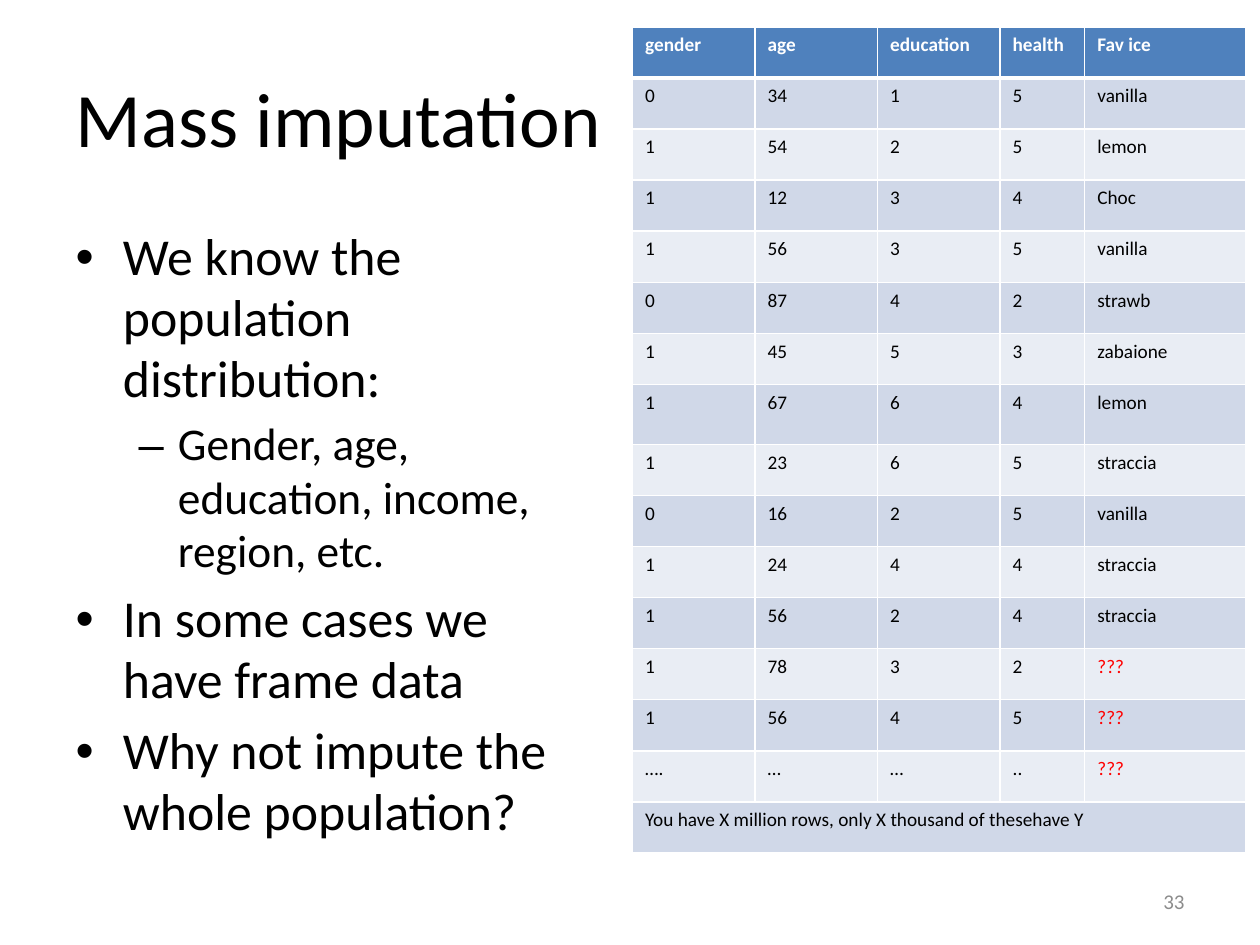
from pptx import Presentation
from pptx.dml.color import RGBColor
from pptx.enum import text as t
from pptx.oxml import ns
from pptx.util import Pt
from lxml import etree

# Content
TITLE = "Mass imputation"
POINTS = [
    (0, "We know the population distribution:"),
    (1, "Gender, age, education, income, region, etc."),
    (0, "In some cases we have frame data"),
    (0, "Why not impute the whole population?"),
]
HEAD = ["gender", "age", "education", "health", "Fav ice"]
ROWS = [
    ("0", "34", "1", "5", "vanilla"),
    ("1", "54", "2", "5", "lemon"),
    ("1", "12", "3", "4", "Choc"),
    ("1", "56", "3", "5", "vanilla"),
    ("0", "87", "4", "2", "strawb"),
    ("1", "45", "5", "3", "zabaione"),
    ("1", "67", "6", "4", "lemon"),
    ("1", "23", "6", "5", "straccia"),
    ("0", "16", "2", "5", "vanilla"),
    ("1", "24", "4", "4", "straccia"),
    ("1", "56", "2", "4", "straccia"),
    ("1", "78", "3", "2", "???"),
    ("1", "56", "4", "5", "???"),
    ("….", "…", "…", "..", "???"),
    ("You have X million rows, only X thousand of thesehave Y", "", "", "", ""),
]
PAGE = "33"

# Layout in points
WIDTHS = [70, 70, 70, 48.4, 92.2]
ROW, TALL = 29.2, 34.2
TALL_ROW = 7
SIZES = [(29.6, 6), (25.9, 5)]  # text size and space before, by level
BANDS = ["E9EDF4", "D0D8E8"]


def rgb(code):
    return RGBColor.from_string(code)


def write(para, words, size, color="000000", bold=False, align=t.PP_ALIGN.LEFT):
    para.alignment = align
    run = para.add_run()
    run.text = words
    font = run.font
    font.name, font.size, font.bold = "Calibri", Pt(size), bold
    font.color.rgb = rgb(color)


def place(shape, left, top, width, height):
    shape.left, shape.top = Pt(left), Pt(top)
    shape.width, shape.height = Pt(width), Pt(height)


def border(cell, low):
    props = cell._tc.get_or_add_tcPr()
    for side, wide in (("L", 1), ("R", 1), ("T", 1), ("B", low)):
        line = etree.SubElement(props, ns.qn("a:ln" + side), w=str(Pt(wide)))
        fill = etree.SubElement(line, ns.qn("a:solidFill"))
        etree.SubElement(fill, ns.qn("a:srgbClr"), val="FFFFFF")


deck = Presentation()
deck.slide_width, deck.slide_height = Pt(720), Pt(540)
slide = deck.slides.add_slide(deck.slide_layouts[1])

# Title
title = slide.shapes.title
place(title, 36, 21.6, 648, 90)
write(title.text_frame.paragraphs[0], TITLE, 44)

# Bullet list
body = slide.placeholders[1]
place(body, 36, 126, 290, 356.4)
frame = body.text_frame
for i, (level, words) in enumerate(POINTS):
    para = frame.add_paragraph() if i else frame.paragraphs[0]
    size, gap = SIZES[level]
    para.level = level
    para.space_before, para.line_spacing = Pt(gap), 0.98
    write(para, words, size)

# Data table
lines = [HEAD] + ROWS
grid = slide.shapes.add_table(
    len(lines), len(HEAD), Pt(361.5), Pt(15.3),
    Pt(sum(WIDTHS)), Pt(ROW * (len(lines) - 1) + TALL)).table
for col, width in zip(grid.columns, WIDTHS):
    col.width = Pt(width)
for r, line in enumerate(lines):
    grid.rows[r].height = Pt(TALL if r == TALL_ROW else ROW)
    for c, words in enumerate(line):
        cell = grid.cell(r, c)
        border(cell, 1 if r else 3)
        cell.fill.solid()
        cell.fill.fore_color.rgb = rgb(BANDS[r % 2] if r else "4F81BD")
        if words:
            color = "FF0000" if words == "???" else "000000"
            write(cell.text_frame.paragraphs[0], words, 11,
                  color=color if r else "FFFFFF", bold=r == 0)
last = len(lines) - 1
grid.cell(last, 0).merge(grid.cell(last, len(HEAD) - 1))

# Page number
box = slide.shapes.add_textbox(Pt(516), Pt(500.5), Pt(168), Pt(28.8))
box.text_frame.word_wrap = True
box.text_frame.vertical_anchor = t.MSO_ANCHOR.MIDDLE
write(box.text_frame.paragraphs[0], PAGE, 12, color="8C8C8C",
      align=t.PP_ALIGN.RIGHT)

deck.save("out.pptx")
